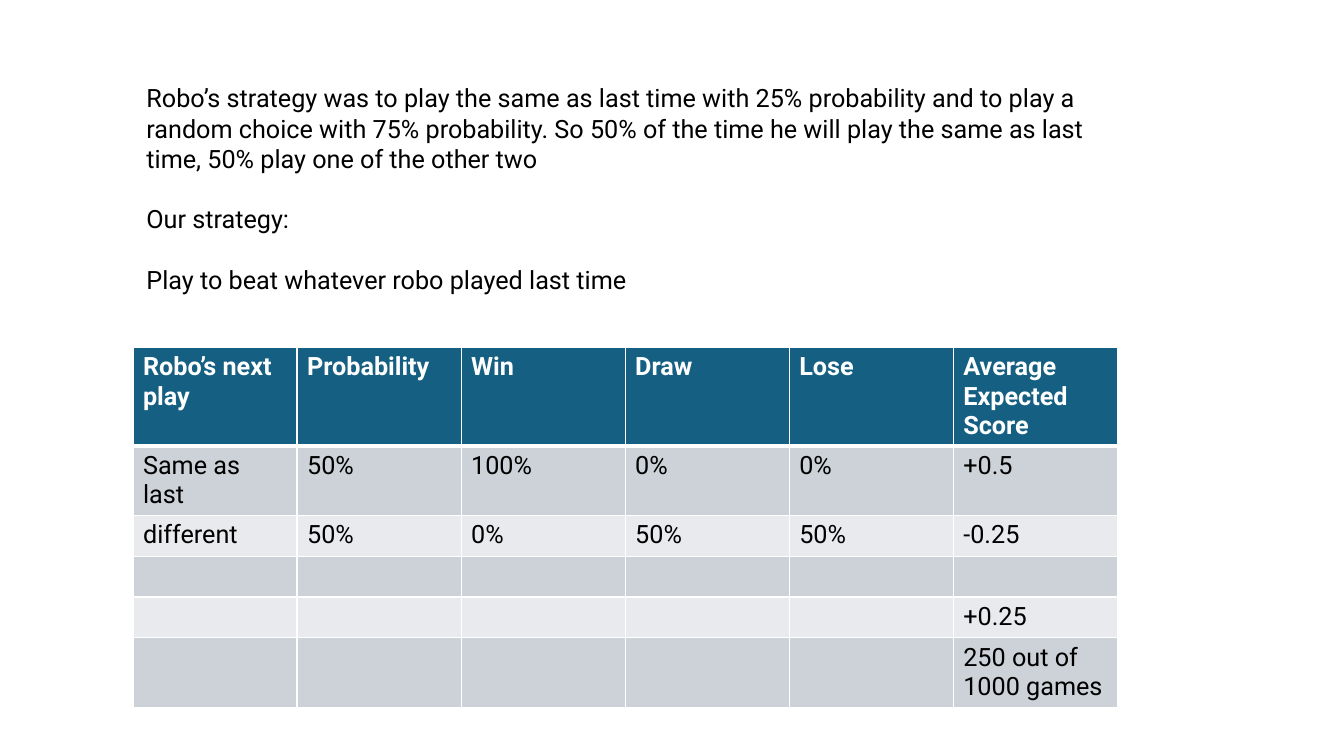
import pptx
import pptx.dml.color
import pptx.oxml
import pptx.oxml.ns
import pptx.util

Pt = pptx.util.Pt
RGBColor = pptx.dml.color.RGBColor

WHITE = RGBColor(0xFF, 0xFF, 0xFF)
BLACK = RGBColor(0x00, 0x00, 0x00)
HEADER_BLUE = RGBColor(0x15, 0x60, 0x82)
BAND_DARK = RGBColor(0xCC, 0xD2, 0xD8)
BAND_LIGHT = RGBColor(0xE8, 0xEA, 0xED)

STRATEGY = [
    "Robo’s strategy was to play the same as last time with 25% probability "
    "and to play a random choice with 75% probability. So 50% of the time he "
    "will play the same as last time, 50% play one of the other two",
    "Our strategy:",
    "Play to beat whatever robo played last time",
]
SCORES = [
    ["Robo’s next play", "Probability", "Win", "Draw", "Lose", "Average Expected Score"],
    ["Same as last", "50%", "100%", "0%", "0%", "+0.5"],
    ["different", "50%", "0%", "50%", "50%", "-0.25"],
    [""] * 6,
    [""] * 5 + ["+0.25"],
    [""] * 5 + ["250 out of 1000 games"],
]


class SlideBuilder:
    """Holds the text style and the current slide."""

    text_style = {"name": "Roboto", "size": Pt(18), "bold": False}

    def __init__(self, slide):
        self.slide = slide

    def add_styled_run(self, paragraph, text, color, **changes):
        run = paragraph.add_run()
        run.text = text
        for name, value in {**self.text_style, **changes}.items():
            setattr(run.font, name, value)
        run.font.color.rgb = color

    def add_text(self, left, top, width, height, paragraphs, gap):
        box = self.slide.shapes.add_textbox(Pt(left), Pt(top), Pt(width), Pt(height))
        frame = box.text_frame
        frame.word_wrap = True
        for index, text in enumerate(paragraphs):
            paragraph = frame.add_paragraph() if index else frame.paragraphs[0]
            paragraph.space_before = Pt(gap if index else 0)
            self.add_styled_run(paragraph, text, BLACK)

    def set_borders(self, cell, color, widths):
        properties = cell._tc.get_or_add_tcPr()
        for side, width in widths.items():
            properties.append(pptx.oxml.parse_xml(
                f'<a:ln{side} {pptx.oxml.ns.nsdecls("a")} w="{Pt(width)}">'
                f'<a:solidFill><a:srgbClr val="{color}"/></a:solidFill></a:ln{side}>'))

    def add_table(self, left, top, width, row_height, rows):
        table = self.slide.shapes.add_table(
            len(rows), len(rows[0]), Pt(left), Pt(top),
            Pt(width), Pt(row_height * len(rows))).table
        for row_index, row in enumerate(rows):
            header = row_index == 0
            band = BAND_DARK if row_index % 2 else BAND_LIGHT
            borders = {"L": 1, "R": 1, "T": 3 if row_index == 1 else 1,
                       "B": 3 if header else 1}
            for column_index, text in enumerate(row):
                cell = table.cell(row_index, column_index)
                self.set_borders(cell, WHITE, borders)
                cell.fill.solid()
                cell.fill.fore_color.rgb = HEADER_BLUE if header else band
                if text:
                    self.add_styled_run(cell.text_frame.paragraphs[0], text,
                                        WHITE if header else BLACK, bold=header)


def main():
    presentation = pptx.Presentation()
    presentation.slide_width = Pt(960)
    presentation.slide_height = Pt(540)
    slide = presentation.slides.add_slide(presentation.slide_layouts[6])
    builder = SlideBuilder(slide)

    # Expected score for each of the robot's plays
    builder.add_table(95, 248, 703.2, 29.2, SCORES)

    # Strategy explanation
    builder.add_text(97.5, 55.5, 686, 160, STRATEGY, gap=21.6)

    presentation.save("out.pptx")


if __name__ == "__main__":
    main()
